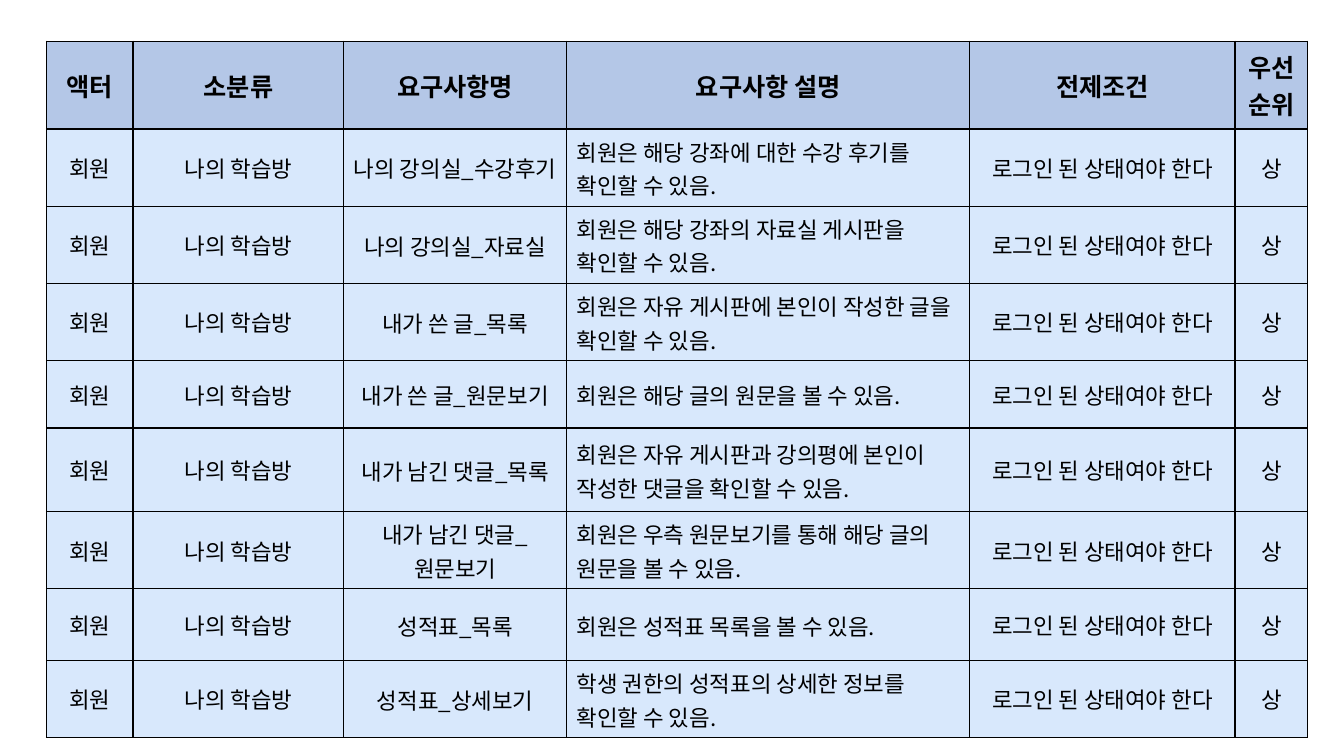
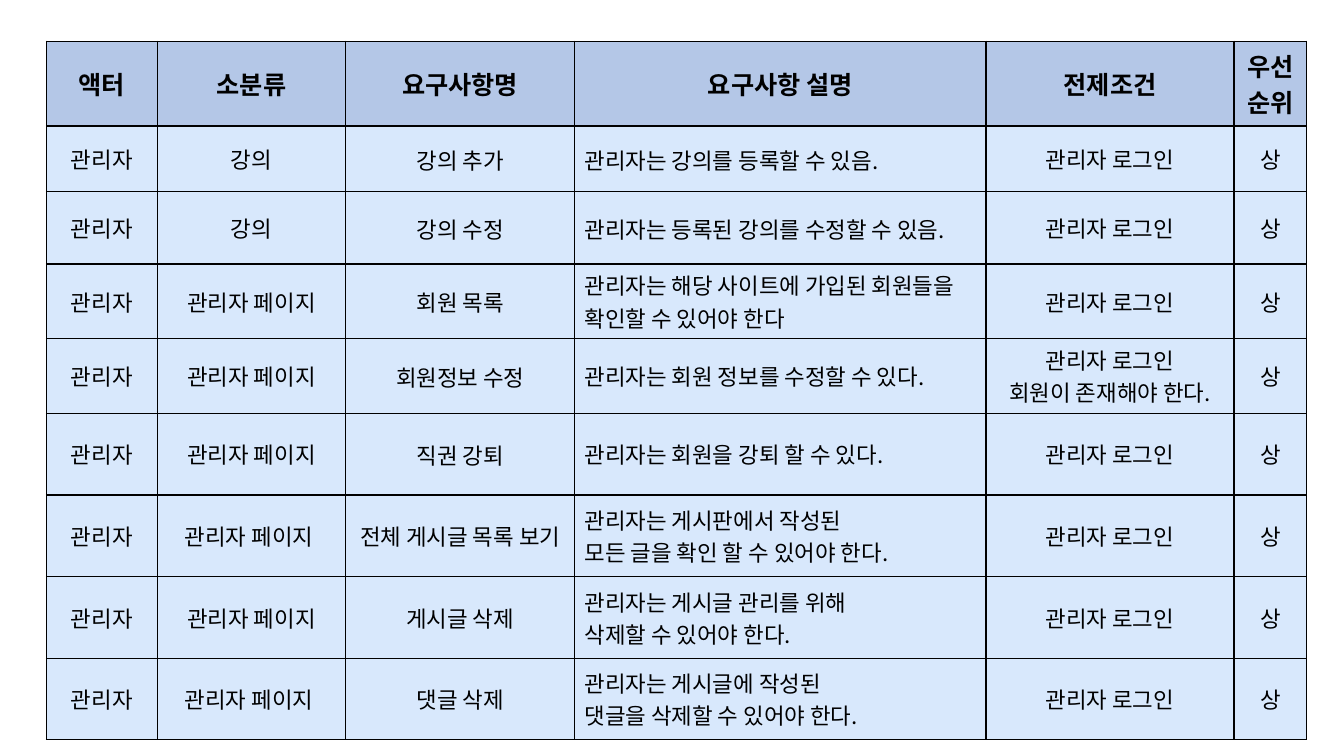
from dataclasses import dataclass

from lxml.etree import SubElement
from pptx import Presentation
from pptx.dml.color import RGBColor
from pptx.enum.text import MSO_ANCHOR, PP_ALIGN
from pptx.oxml.ns import qn
from pptx.util import Pt

PX = 9144  # EMU in one px, at 100 px to the inch
SLIDE_SIZE = (1333, 750)
TABLE_ORIGIN = (46, 41)


@dataclass(frozen=True)
class Theme:
    font: str = "Noto Sans CJK KR"
    text: str = "000000"
    border: str = "000000"
    header_fill: str = "B4C7E7"
    body_fill: str = "D8E8FC"
    header_size: int = 18
    body_size: int = 16
    border_width: int = 1
    loose_spacing: float = 1.04


THEME = Theme()

# Content
HEADERS = ("액터", "소분류", "요구사항명", "요구사항 설명", "전제조건", "우선순위")
NAME, DESCRIPTION = 2, 3
PRIORITY = "상"
STUDY_ROOM, LOGGED_IN = "나의 학습방", "로그인 된 상태여야 한다"
ADMIN_PAGE, ADMIN_LOGIN = "관리자 페이지", "관리자 로그인"

# Each requirement: category, name, description, precondition.
# loose_rows: how many body rows of a column have the wider line spacing.
REQUIREMENT_SLIDES = [
    {
        "actor": "회원",
        "columns": (86, 209, 221, 400, 263, 72),
        "rows": (87, 67, 75, 72, 67, 83, 71, 71, 71),
        "loose_rows": {NAME: 8, DESCRIPTION: 8},
        "requirements": [
            (STUDY_ROOM, "나의 강의실_수강후기",
             "회원은 해당 강좌에 대한 수강 후기를 확인할 수 있음.", LOGGED_IN),
            (STUDY_ROOM, "나의 강의실_자료실",
             "회원은 해당 강좌의 자료실 게시판을 확인할 수 있음.", LOGGED_IN),
            (STUDY_ROOM, "내가 쓴 글_목록",
             "회원은 자유 게시판에 본인이 작성한 글을 확인할 수 있음.", LOGGED_IN),
            (STUDY_ROOM, "내가 쓴 글_원문보기",
             "회원은 해당 글의 원문을 볼 수 있음.", LOGGED_IN),
            (STUDY_ROOM, "내가 남긴 댓글_목록",
             "회원은 자유 게시판과 강의평에 본인이 작성한 댓글을 확인할 수 있음.", LOGGED_IN),
            (STUDY_ROOM, "내가 남긴 댓글_원문보기",
             "회원은 우측 원문보기를 통해 해당 글의 원문을 볼 수 있음.", LOGGED_IN),
            (STUDY_ROOM, "성적표_목록",
             "회원은 성적표 목록을 볼 수 있음.", LOGGED_IN),
            (STUDY_ROOM, "성적표_상세보기",
             "학생 권한의 성적표의 상세한 정보를 확인할 수 있음.", LOGGED_IN),
        ],
    },
    {
        "actor": "관리자",
        "columns": (110, 187, 227, 408, 246, 72),
        "rows": (84, 65, 72, 65, 65, 81, 81, 81, 81),
        "loose_rows": {NAME: 5, DESCRIPTION: 2},
        "requirements": [
            ("강의", "강의 추가", "관리자는 강의를 등록할 수 있음.", ADMIN_LOGIN),
            ("강의", "강의 수정", "관리자는 등록된 강의를 수정할 수 있음.", ADMIN_LOGIN),
            (ADMIN_PAGE, "회원 목록",
             "관리자는 해당 사이트에 가입된 회원들을 확인할 수 있어야 한다", ADMIN_LOGIN),
            (ADMIN_PAGE, "회원정보 수정", "관리자는 회원 정보를 수정할 수 있다.",
             ADMIN_LOGIN + "\n회원이 존재해야 한다."),
            (ADMIN_PAGE, "직권 강퇴", "관리자는 회원을 강퇴 할 수 있다.", ADMIN_LOGIN),
            (ADMIN_PAGE + " ", "전체 게시글 목록 보기",
             "관리자는 게시판에서 작성된\n모든 글을 확인 할 수 있어야 한다.", ADMIN_LOGIN),
            (ADMIN_PAGE, "게시글 삭제",
             "관리자는 게시글 관리를 위해\n삭제할 수 있어야 한다.", ADMIN_LOGIN),
            (ADMIN_PAGE + " ", "댓글 삭제",
             "관리자는 게시글에 작성된\n댓글을 삭제할 수 있어야 한다.", ADMIN_LOGIN),
        ],
    },
]


def draw_borders(cell):
    properties = cell._tc.get_or_add_tcPr()
    for side in ("lnL", "lnR", "lnT", "lnB"):
        line = SubElement(properties, qn(f"a:{side}"), w=str(Pt(THEME.border_width)))
        fill = SubElement(line, qn("a:solidFill"))
        SubElement(fill, qn("a:srgbClr"), val=THEME.border)


def format_paragraph(paragraph, is_header, align, spacing):
    paragraph.alignment = align
    if spacing:
        paragraph.line_spacing = spacing
    font = paragraph.font
    font.name = THEME.font
    font.size = Pt(THEME.header_size if is_header else THEME.body_size)
    font.bold = is_header
    font.color.rgb = RGBColor.from_string(THEME.text)
    # Hangul takes its typeface from the East Asian slot
    defaults = paragraph._p.find(f".//{qn('a:defRPr')}")
    SubElement(defaults, qn("a:ea"), typeface=THEME.font)


def fill_cell(cell, text, is_header, align, spacing):
    draw_borders(cell)
    cell.fill.solid()
    cell.fill.fore_color.rgb = RGBColor.from_string(
        THEME.header_fill if is_header else THEME.body_fill)
    cell.vertical_anchor = MSO_ANCHOR.MIDDLE
    cell.text = text
    for paragraph in cell.text_frame.paragraphs:
        format_paragraph(paragraph, is_header, align, spacing)


def add_requirements(slide, content):
    columns, rows = content["columns"], content["rows"]
    box = (*TABLE_ORIGIN, sum(columns), sum(rows))
    table = slide.shapes.add_table(
        len(rows), len(columns), *(length * PX for length in box)).table
    table.horz_banding = False
    for column, width in zip(table.columns, columns):
        column.width = width * PX
    for row, height in zip(table.rows, rows):
        row.height = height * PX

    # Header row, then one row for each requirement
    lines = [HEADERS] + [
        (content["actor"], *requirement, PRIORITY)
        for requirement in content["requirements"]]
    for r, line in enumerate(lines):
        for c, text in enumerate(line):
            is_header = r == 0
            is_left = c == DESCRIPTION and not is_header
            is_loose = 0 < r <= content["loose_rows"].get(c, 0)
            fill_cell(table.cell(r, c), text, is_header,
                      PP_ALIGN.LEFT if is_left else PP_ALIGN.CENTER,
                      THEME.loose_spacing if is_loose else None)


def main():
    presentation = Presentation()
    presentation.slide_width, presentation.slide_height = (
        length * PX for length in SLIDE_SIZE)
    blank_layout = presentation.slide_layouts[6]
    for content in REQUIREMENT_SLIDES:
        add_requirements(presentation.slides.add_slide(blank_layout), content)
    presentation.save("out.pptx")


if __name__ == "__main__":
    main()
